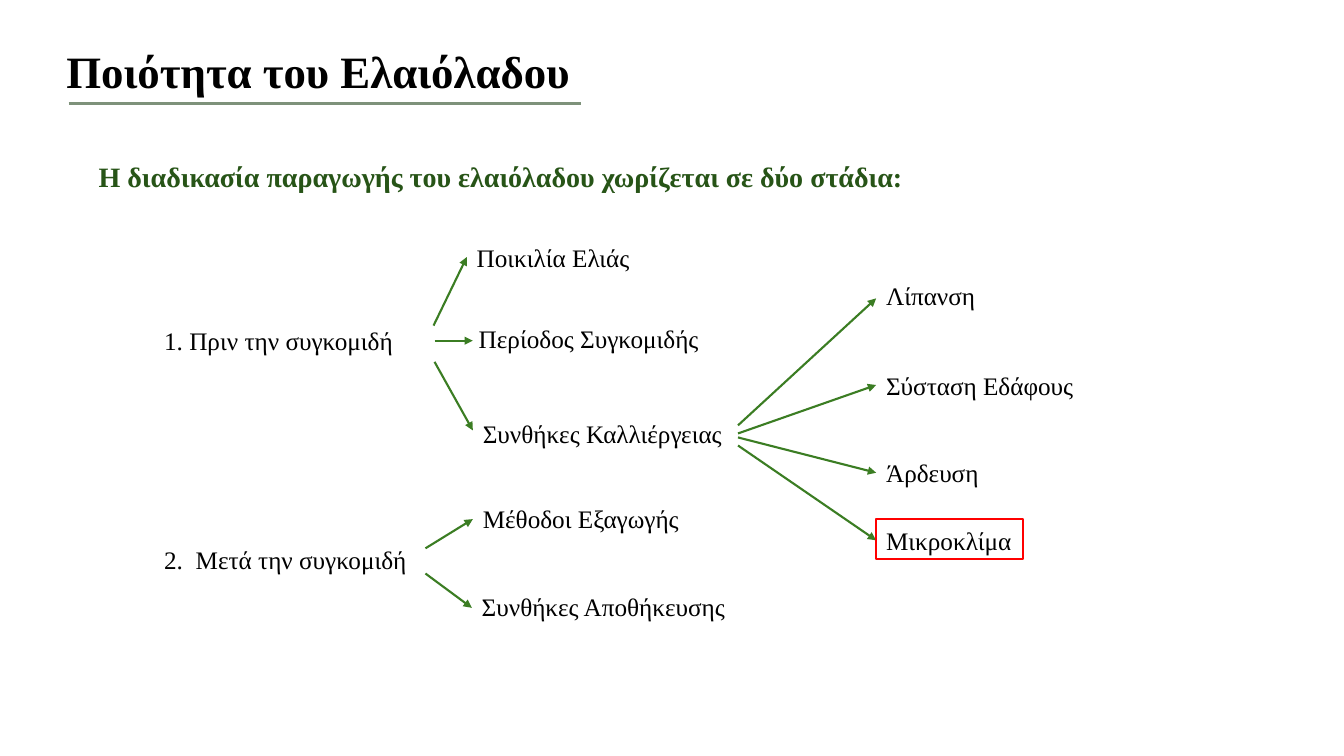
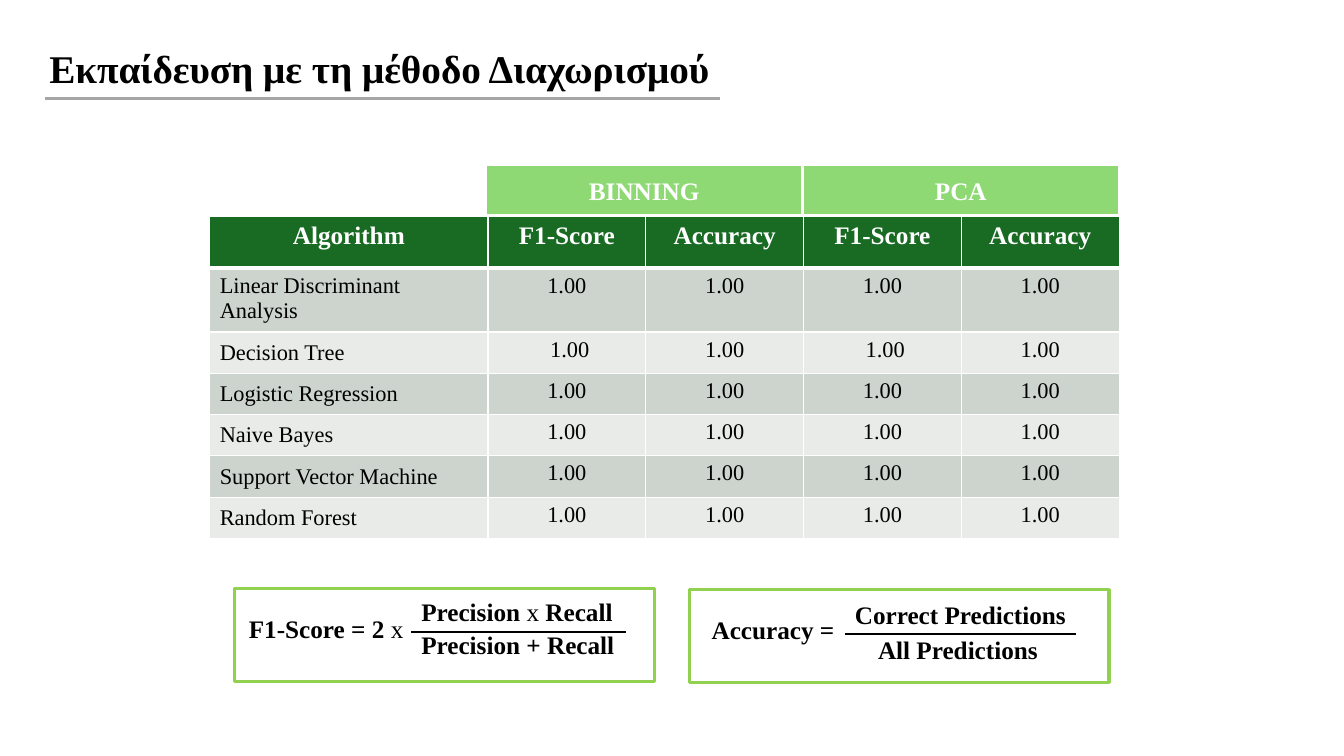
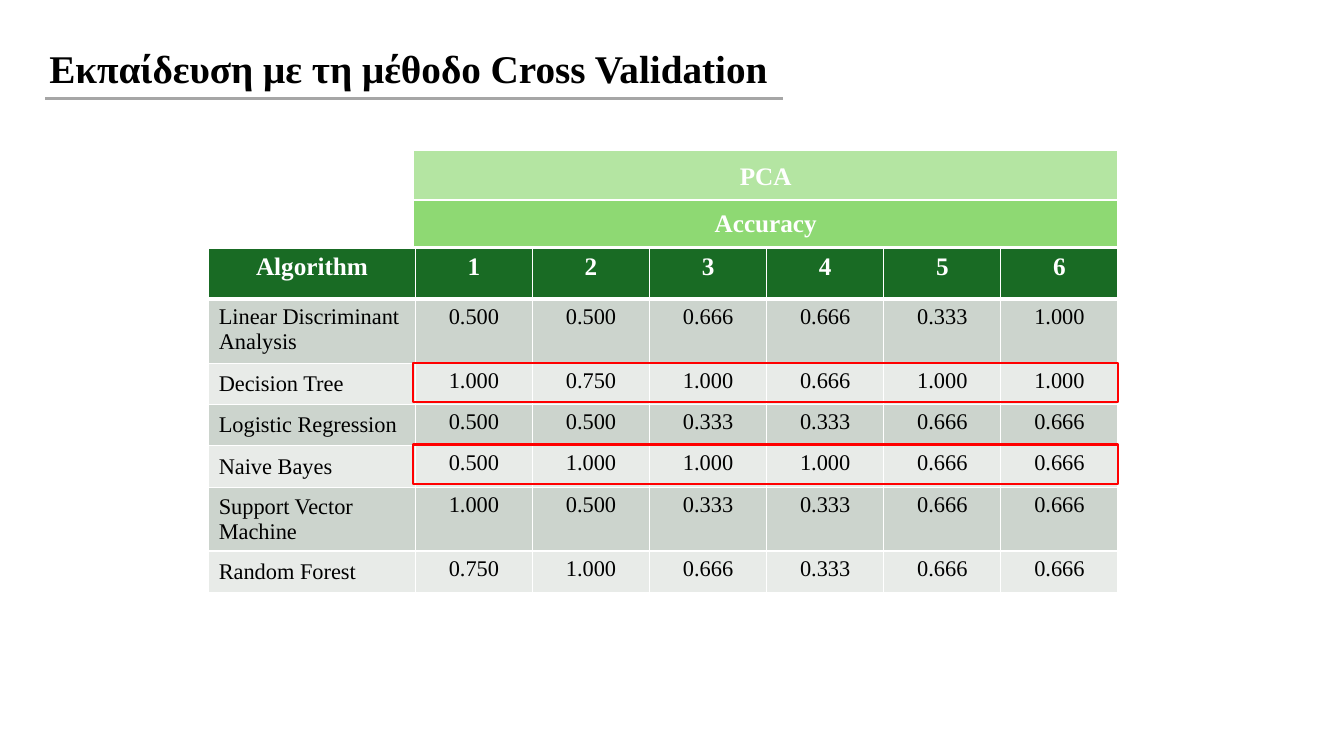
from typing import NamedTuple

from pptx import Presentation
from pptx.dml.color import RGBColor
from pptx.enum.shapes import MSO_CONNECTOR, MSO_SHAPE
from pptx.enum.text import MSO_ANCHOR as Anchor, MSO_AUTO_SIZE as AutoSize, PP_ALIGN as Align
from pptx.oxml.ns import qn
from pptx.oxml.xmlchemy import OxmlElement
from pptx.util import Inches, Pt

# Shared style
FONT = "Times New Roman"
BLACK, WHITE, RED = "000000", "FFFFFF", "FF0000"
DARK_GREEN, ARROW_GREEN, HEADER_GREEN = "275417", "3B7D23", "196B24"
BAND_GREEN, PALE_GREEN, FRAME_GREEN = "8ED973", "B4E5A2", "92D050"
SAGE, GREY = "7E927A", "A6A6A6"
ROW_FILLS = ("CCD4CD", "E8EBE8")
TEXT_HEIGHT = 0.4
TABLE_WIDTH = 9.02
HEADER_HEIGHT, ROW_HEIGHT, TALL_ROW_HEIGHT = 0.51, 0.41, 0.61


class Box(NamedTuple):
    left: float
    top: float
    width: float
    height: float

    def lengths(self) -> list:
        return [Inches(value) for value in self]


class Span(NamedTuple):
    text: str
    bold: bool = False


class Label(NamedTuple):
    text: str
    left: float
    top: float


class Arrow(NamedTuple):
    start: tuple[float, float]
    end: tuple[float, float]


class Row(NamedTuple):
    name: str
    values: tuple[str, ...]
    tall: bool = False


class Formula(NamedTuple):
    frame: Box
    name: tuple[Span, ...]
    name_box: Box
    top_term: tuple[Span, ...]
    top_box: Box
    low_term: tuple[Span, ...]
    low_box: Box
    bar: Arrow


def color(code: str) -> RGBColor:
    return RGBColor.from_string(code)


def write(frame, spans: str | tuple[Span, ...], *, size: float = 18, bold: bool = False,
          fill: str = BLACK, align=Align.LEFT, spacing: float = 1.0) -> None:
    """Fill the first paragraph of a text frame."""
    para = frame.paragraphs[0]
    para.alignment = align
    para.line_spacing = spacing
    for text, is_bold in [Span(spans, bold)] if isinstance(spans, str) else spans:
        span = para.add_run()
        span.text = text
        font = span.font
        font.name, font.size, font.bold = FONT, Pt(size), is_bold
        font.color.rgb = color(fill)


def add_text(page, spans: str | tuple[Span, ...], box: Box, *, anchor=Anchor.TOP,
             grow: bool = True, **style) -> None:
    frame = page.shapes.add_textbox(*box.lengths()).text_frame
    frame.word_wrap = True
    frame.auto_size = AutoSize.SHAPE_TO_FIT_TEXT if grow else AutoSize.NONE
    frame.vertical_anchor = anchor
    write(frame, spans, **style)


def add_line(page, line: Arrow, stroke: str, *, weight: float = 1.5, arrow: bool = False) -> None:
    points = [Inches(value) for value in (*line.start, *line.end)]
    connector = page.shapes.add_connector(MSO_CONNECTOR.STRAIGHT, *points)
    connector.line.color.rgb = color(stroke)
    connector.line.width = Pt(weight)
    properties = connector.element.spPr
    if arrow:
        tail = OxmlElement("a:tailEnd")
        tail.set("type", "triangle")
        properties.find(qn("a:ln")).append(tail)
    properties.append(OxmlElement("a:effectLst"))


def add_rectangle(page, box: Box, stroke: str, *, weight: float = 1.5,
                  fill: str | None = None, text: str = "") -> None:
    shape = page.shapes.add_shape(MSO_SHAPE.RECTANGLE, *box.lengths())
    shape.shadow.inherit = False
    shape.line.color.rgb = color(stroke)
    shape.line.width = Pt(weight)
    if fill:
        shape.fill.solid()
        shape.fill.fore_color.rgb = color(fill)
    else:
        shape.fill.background()
    if text:
        shape.text_frame.vertical_anchor = Anchor.MIDDLE
        write(shape.text_frame, text, bold=True, fill=WHITE, align=Align.CENTER)


def add_title(page, text: str, box: Box, underline: Arrow, *, stroke: str = GREY,
              size: float = 28, **style) -> None:
    add_text(page, text, box, size=size, bold=True, **style)
    add_line(page, underline, stroke, weight=2.25)


# Tables
def set_borders(cell, **weights: float) -> None:
    properties = cell._tc.get_or_add_tcPr()
    for side in "LRTB":
        border = OxmlElement(f"a:ln{side}")
        border.set("w", str(Pt(weights.get(side, 1))))
        fill = OxmlElement("a:solidFill")
        tone = OxmlElement("a:srgbClr")
        tone.set("val", WHITE)
        fill.append(tone)
        border.append(fill)
        properties.append(border)


def fill_cell(cell, fill: str) -> None:
    cell.fill.solid()
    cell.fill.fore_color.rgb = color(fill)


def add_scores(page, left: float, top: float, name_width: float,
               header: tuple[str, ...], rows: list[Row]) -> None:
    heights = [HEADER_HEIGHT] + [TALL_ROW_HEIGHT if row.tall else ROW_HEIGHT for row in rows]
    box = Box(left, top, TABLE_WIDTH, sum(heights))
    table = page.shapes.add_table(len(heights), len(header), *box.lengths()).table
    table.first_row = table.horz_banding = False
    score_width = (TABLE_WIDTH - name_width) / (len(header) - 1)
    for index, column in enumerate(table.columns):
        column.width = Inches(score_width if index else name_width)
    for height, table_row in zip(heights, table.rows):
        table_row.height = Inches(height)

    for index, text in enumerate(header):
        cell = table.cell(0, index)
        set_borders(cell, B=3)
        fill_cell(cell, HEADER_GREEN)
        write(cell.text_frame, text, bold=True, fill=WHITE, align=Align.CENTER)
    for number, row in enumerate(rows, 1):
        for index, text in enumerate((row.name, *row.values)):
            cell = table.cell(number, index)
            set_borders(cell, T=3 if number == 1 else 1)
            fill_cell(cell, ROW_FILLS[(number - 1) % 2])
            if index == 0 and number > 1:
                cell.vertical_anchor = Anchor.MIDDLE
            write(cell.text_frame, text, size=16, align=Align.CENTER if index else Align.LEFT)


# Slide 1: stages of production
STAGES = [
    Label("1. Πριν την συγκομιδή", 1.53, 3.18),
    Label("2.  Μετά την συγκομιδή", 1.53, 5.35),
    Label("Ποικιλία Ελιάς", 4.63, 2.35),
    Label("Περίοδος Συγκομιδής", 4.65, 3.16),
    Label("Συνθήκες Καλλιέργειας", 4.69, 4.1),
    Label("Μέθοδοι Εξαγωγής", 4.69, 4.94),
    Label("Συνθήκες Αποθήκευσης", 4.68, 5.82),
    Label("Λίπανση", 8.69, 2.73),
    Label("Σύσταση Εδάφους", 8.69, 3.62),
    Label("Άρδευση", 8.69, 4.49),
    Label("Μικροκλίμα", 8.69, 5.16),
]
ARROWS = [
    Arrow((4.3, 3.23), (4.63, 2.55)),
    Arrow((4.31, 3.38), (4.69, 3.38)),
    Arrow((4.31, 3.59), (4.69, 4.27)),
    Arrow((4.22, 5.44), (4.69, 5.15)),
    Arrow((4.22, 5.69), (4.68, 6.03)),
    Arrow((7.32, 4.22), (8.69, 2.96)),
    Arrow((7.32, 4.3), (8.69, 3.82)),
    Arrow((7.32, 4.34), (8.69, 4.69)),
    Arrow((7.32, 4.42), (8.69, 5.36)),
]


def draw_stages(page) -> None:
    add_title(page, "Ποιότητα του Ελαιόλαδου", Box(0.56, 0.39, 5.4, 0.69),
              Arrow((0.68, 1.03), (5.76, 1.03)), stroke=SAGE, size=32,
              anchor=Anchor.MIDDLE, grow=False, spacing=0.9)
    add_text(page, "Η διαδικασία παραγωγής του ελαιόλαδου χωρίζεται σε δύο στάδια:",
             Box(0.88, 1.57, 8.56, 0.47), grow=False, size=20, bold=True,
             fill=DARK_GREEN, spacing=0.9)
    for label in STAGES:
        add_text(page, label.text, Box(label.left, label.top, 2.77, TEXT_HEIGHT))
    for arrow in ARROWS:
        add_line(page, arrow, ARROW_GREEN, arrow=True)
    add_rectangle(page, Box(8.69, 5.15, 1.46, 0.4), RED)


# Slide 2: train/test split
ONES = ("1.00",) * 4
SPLIT_ROWS = [
    Row("Linear Discriminant Analysis", ONES, tall=True),
    Row("Decision Tree", (" 1.00", "1.00") * 2),
    Row("Logistic Regression", ONES),
    Row("Naive Bayes", ONES),
    Row("Support Vector Machine", ONES),
    Row("Random Forest", ONES),
]
FORMULAS = [
    Formula(
        Box(2.33, 5.84, 4.16, 0.92),
        (Span("F1-Score = 2 ", True), Span("x")), Box(2.37, 6.04, 1.77, TEXT_HEIGHT),
        (Span("Precision ", True), Span("x"), Span(" Recall", True)),
        Box(4.08, 5.87, 2.42, TEXT_HEIGHT),
        (Span("Precision + Recall", True),), Box(4.08, 6.19, 2.42, TEXT_HEIGHT),
        Arrow((4.08, 6.27), (6.21, 6.27)),
    ),
    Formula(
        Box(6.84, 5.85, 4.16, 0.92),
        (Span("Accuracy =", True),), Box(6.96, 6.05, 1.42, TEXT_HEIGHT),
        (Span("Correct Predictions", True),), Box(8.38, 5.9, 2.42, TEXT_HEIGHT),
        (Span("All Predictions", True),), Box(8.61, 6.24, 1.82, TEXT_HEIGHT),
        Arrow((8.38, 6.29), (10.67, 6.29)),
    ),
]


def draw_split(page) -> None:
    add_title(page, "Εκπαίδευση με τη μέθοδο Διαχωρισμού", Box(0.39, 0.39, 7.08, 0.57),
              Arrow((0.45, 0.98), (7.14, 0.98)))
    add_scores(page, 2.08, 2.15, 2.76,
               ("Algorithm", *("F1-Score", "Accuracy") * 2), SPLIT_ROWS)
    for index, text in enumerate(("BINNING", "PCA")):
        add_rectangle(page, Box(4.82 + index * 3.14, 1.64, 3.14, 0.49), WHITE,
                      fill=BAND_GREEN, text=text)
    for formula in FORMULAS:
        add_text(page, formula.name, formula.name_box)
        add_text(page, formula.top_term, formula.top_box)
        add_text(page, formula.low_term, formula.low_box)
        add_line(page, formula.bar, BLACK)
        add_rectangle(page, formula.frame, FRAME_GREEN, weight=2.25)


# Slide 3: cross validation
FOLD_ROWS = [
    Row("Linear Discriminant Analysis",
        ("0.500", "0.500", "0.666", "0.666", "0.333", "1.000"), tall=True),
    Row("Decision Tree", ("1.000", "0.750", "1.000", "0.666", "1.000", "1.000")),
    Row("Logistic Regression", ("0.500", "0.500", "0.333", "0.333", "0.666", "0.666")),
    Row("Naive Bayes", ("0.500", "1.000", "1.000", "1.000", "0.666", "0.666")),
    Row("Support Vector Machine",
        ("1.000", "0.500", "0.333", "0.333", "0.666", "0.666"), tall=True),
    Row("Random Forest", ("0.750", "1.000", "0.666", "0.333", "0.666", "0.666")),
]


def draw_folds(page) -> None:
    add_title(page, "Εκπαίδευση με τη μέθοδο Cross Validation", Box(0.39, 0.39, 7.38, 0.57),
              Arrow((0.45, 0.98), (7.77, 0.98)))
    add_scores(page, 2.07, 2.46, 2.05, ("Algorithm", *"123456"), FOLD_ROWS)
    for text, top, fill in (("Accuracy", 1.96, BAND_GREEN), ("PCA", 1.49, PALE_GREEN)):
        add_rectangle(page, Box(4.1, top, 6.99, 0.49), WHITE, fill=fill, text=text)
    for top in (3.6, 4.41):
        add_rectangle(page, Box(4.1, top, 6.99, 0.39), RED)


def main() -> None:
    deck = Presentation()
    deck.slide_width, deck.slide_height = Inches(13.33), Inches(7.5)
    for draw in (draw_stages, draw_split, draw_folds):
        draw(deck.slides.add_slide(deck.slide_layouts[6]))
    deck.save("out.pptx")


if __name__ == "__main__":
    main()
